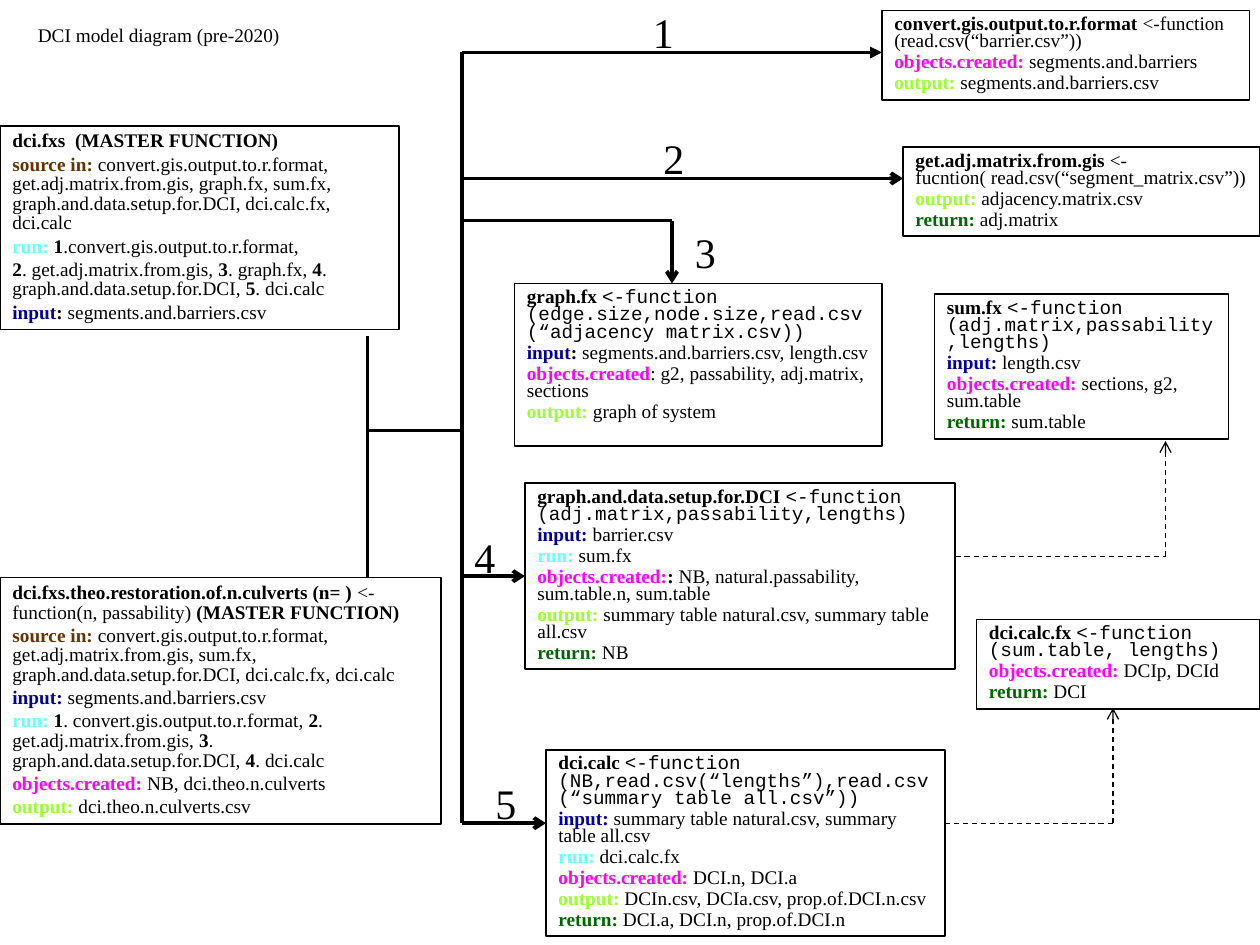
from lxml import etree
from pptx import Presentation
from pptx.dml.color import RGBColor
from pptx.enum.dml import MSO_LINE
from pptx.enum.shapes import MSO_CONNECTOR, MSO_SHAPE
from pptx.enum.text import MSO_ANCHOR, MSO_AUTO_SIZE, PP_ALIGN
from pptx.oxml.ns import qn
from pptx.util import Inches, Pt

STRAIGHT = MSO_CONNECTOR.STRAIGHT
RECTANGLE = MSO_SHAPE.RECTANGLE
DASH = MSO_LINE.DASH
TOP = MSO_ANCHOR.TOP
FIXED_SIZE = MSO_AUTO_SIZE.NONE
LEFT = PP_ALIGN.LEFT
LEFT_SIDE = 1

COLORS = {
    "text": "000000",
    "source in": "663300",
    "run": "66FFFF",
    "input": "000099",
    "objects.created": "FF00FF",
    "output": "99FF33",
    "return": "006600",
}
SERIF, MONO = "Times New Roman", "Courier New"
COLUMNS, ROWS = 120, 90  # twelve grid cells to the inch
WIDTH, HEIGHT = Inches(10), Inches(7.5)
TRUNK_X, MASTER_X = 44, 35

# Each card: box (column, row, columns, rows), signature font, line spacing,
# and rows of (bold label, text); ** switches bold on and off within text.
CARDS = {
    "dci.calc": ((52, 71.4, 38, 17.75), MONO, 0.75, [
        ("dci.calc ", "<-function (NB,read.csv(“lengths”),read.csv(“summary table all.csv”))"),
        ("input:", " summary table natural.csv, summary table all.csv"),
        ("run: ", "dci.calc.fx"),
        ("objects.created:", " DCI.n, DCI.a"),
        ("output: ", "DCIn.csv, DCIa.csv, prop.of.DCI.n.csv"),
        ("return:", " DCI.a, DCI.n, prop.of.DCI.n")]),
    "convert": ((84, 1, 35, 8.5), SERIF, 0.75, [
        ("convert.gis.output.to.r.format ", "<-function (read.csv(“barrier.csv”))"),
        ("objects.created:", " segments.and.barriers"),
        ("output: ", "segments.and.barriers.csv")]),
    "sum": ((89, 28, 28, 13.8), MONO, 0.75, [
        ("sum.fx ", "<-function (adj.matrix,passability,lengths)"),
        ("input:", " length.csv"),
        ("objects.created:", " sections, g2, sum.table"),
        ("return:", " sum.table")]),
    "master": ((0, 12, 38, 19.4), SERIF, 0.85, [
        ("dci.fxs  (MASTER FUNCTION)", ""),
        ("source in: ", "convert.gis.output.to.r.format, get.adj.matrix.from.gis, graph.fx, "
                        "sum.fx, graph.and.data.setup.for.DCI, dci.calc.fx, dci.calc"),
        ("run: ", "**1**.convert.gis.output.to.r.format,"),
        ("", "**2**. get.adj.matrix.from.gis, **3**. graph.fx, **4**. "
             "graph.and.data.setup.for.DCI, **5**. dci.calc"),
        ("input", "**:** segments.and.barriers.csv")]),
    "graph": ((49, 27, 35, 15.5), MONO, 0.75, [
        ("graph.fx ", "<-function (edge.size,node.size,read.csv(“adjacency matrix.csv))"),
        ("input", "**:** segments.and.barriers.csv, length.csv"),
        ("objects.created", ": g2, passability, adj.matrix, sections"),
        ("output: ", "graph of system")]),
    "adjacency": ((86, 14, 34, 8.5), SERIF, 0.75, [
        ("get.adj.matrix.from.gis ", "<-fucntion( read.csv(“segment_matrix.csv”))"),
        ("output: ", "adjacency.matrix.csv"),
        ("return:", " adj.matrix")]),
    "setup": ((50, 46, 41, 17.75), MONO, 0.75, [
        ("graph.and.data.setup.for.DCI ", "<-function (adj.matrix,passability,lengths)"),
        ("input:", " barrier.csv"),
        ("run: ", "sum.fx"),
        ("objects.created:", "**:** NB, natural.passability, sum.table.n, sum.table"),
        ("output: ", "summary table natural.csv, summary table all.csv"),
        ("return:", " NB")]),
    "calc.fx": ((93, 59, 27, 8.5), MONO, 0.75, [
        ("dci.calc.fx ", "<-function (sum.table, lengths)"),
        ("objects.created:", " DCIp, DCId"),
        ("return:", " DCI")]),
    "culverts": ((0, 55, 42, 23.5), SERIF, 0.85, [
        ("dci.fxs.theo.restoration.of.n.culverts (n= ) ",
         "<-function(n, passability) **(MASTER FUNCTION)**"),
        ("source in: ", "convert.gis.output.to.r.format, get.adj.matrix.from.gis, sum.fx, "
                        "graph.and.data.setup.for.DCI, dci.calc.fx, dci.calc"),
        ("input:", " segments.and.barriers.csv"),
        ("run: ", "**1**. convert.gis.output.to.r.format, **2**. get.adj.matrix.from.gis, "
                  "**3**. graph.and.data.setup.for.DCI, **4**. dci.calc"),
        ("objects.created:", " NB, dci.theo.n.culverts"),
        ("output: ", "dci.theo.n.culverts.csv")]),
}
STEP_NUMBERS = [(61, 0), (62, 12), (65, 21), (44, 50), (46, 73.5)]


def across(columns):
    return round(WIDTH * columns / COLUMNS)


def down(rows):
    return round(HEIGHT * rows / ROWS)


def on_grid(box):
    left, top, width, height = box
    return across(left), down(top), across(width), down(height)


def write(paragraph, text, size=11, font=SERIF, color="text", bold=False):
    """Add text to the paragraph; ** toggles bold."""
    for index, part in enumerate(text.split("**")):
        if part:
            run = paragraph.add_run()
            run.text = part
            run.font.size = Pt(size)
            run.font.name = font
            run.font.bold = bold or index % 2 == 1
            run.font.color.rgb = RGBColor.from_string(COLORS[color])


def prepare_frame(frame):
    frame.word_wrap = True
    frame.auto_size = FIXED_SIZE
    frame.vertical_anchor = TOP


def add_card(slide, box, signature_font, spacing, rows):
    card = slide.shapes.add_shape(RECTANGLE, *on_grid(box))
    card.shadow.inherit = False
    card.fill.background()
    card.line.color.rgb = RGBColor.from_string(COLORS["text"])
    card.line.width = Pt(1)
    frame = card.text_frame
    prepare_frame(frame)
    for index, (label, text) in enumerate(rows):
        paragraph = frame.add_paragraph() if index else frame.paragraphs[0]
        paragraph.alignment = LEFT
        paragraph.line_spacing = spacing
        paragraph.space_before = Pt(2)
        key = label.strip(": ")
        write(paragraph, label, color=key if key in COLORS else "text", bold=True)
        write(paragraph, text, font=SERIF if index else signature_font)
    return card


def add_line(slide, start, end, width=2.25, head=None, dashed=False):
    line = slide.shapes.add_connector(
        STRAIGHT, across(start[0]), down(start[1]), across(end[0]), down(end[1]))
    line.line.color.rgb = RGBColor.from_string(COLORS["text"])
    line.line.width = Pt(width)
    if dashed:
        line.line.dash_style = DASH
    properties = line._element.spPr
    if head:
        etree.SubElement(properties.find(qn("a:ln")), qn("a:tailEnd"), type=head)
    etree.SubElement(properties, qn("a:effectLst"))
    return line


def add_trunk(slide, setup_card):
    """Draw the call tree from the master functions to the five steps."""
    setup_y = 46 + 17.75 / 2
    add_line(slide, (MASTER_X, 32), (MASTER_X, 55))
    add_line(slide, (TRUNK_X, 41), (MASTER_X, 41))
    add_line(slide, (TRUNK_X, 5), (TRUNK_X, 78.4))
    add_line(slide, (TRUNK_X, 5), (84, 5), head="triangle")
    add_line(slide, (TRUNK_X, 17), (86, 17), head="arrow")
    add_line(slide, (TRUNK_X, 21), (64, 21))
    add_line(slide, (64, 21), (64, 27), head="arrow")
    setup_call = add_line(slide, (TRUNK_X, setup_y), (50, setup_y), head="arrow")
    setup_call.end_connect(setup_card, LEFT_SIDE)
    add_line(slide, (TRUNK_X, 78.4), (52, 78.4), head="arrow")


def add_helper_call(slide, start, corner_x, end_y):
    """Draw a dashed route across, then up to a helper function."""
    corner = (corner_x, start[1])
    add_line(slide, start, corner, width=0.75, dashed=True)
    add_line(slide, corner, (corner_x, end_y), width=0.75, head="arrow", dashed=True)


def add_step_number(slide, box, number):
    label = slide.shapes.add_textbox(*on_grid(box))
    prepare_frame(label.text_frame)
    paragraph = label.text_frame.paragraphs[0]
    paragraph.space_before = Pt(15)
    write(paragraph, str(number), size=24)


def set_title(slide, box, text):
    title = slide.shapes.title
    title.left, title.top, title.width, title.height = on_grid(box)
    prepare_frame(title.text_frame)
    paragraph = title.text_frame.paragraphs[0]
    paragraph.alignment = LEFT
    write(paragraph, text)


def main():
    deck = Presentation()
    deck.slide_width, deck.slide_height = WIDTH, HEIGHT
    slide = deck.slides.add_slide(deck.slide_layouts[5])
    set_title(slide, (2.4, 1.6, 33, 3.5), "DCI model diagram (pre-2020)")
    cards = {name: add_card(slide, *card) for name, card in CARDS.items()}
    add_trunk(slide, cards["setup"])
    add_helper_call(slide, (91, 53), 111, 42)
    add_helper_call(slide, (90, 78.4), 106, 67.4)
    for number, (column, row) in enumerate(STEP_NUMBERS, start=1):
        add_step_number(slide, (column, row, 5, 6), number)
    deck.save("out.pptx")


if __name__ == "__main__":
    main()
